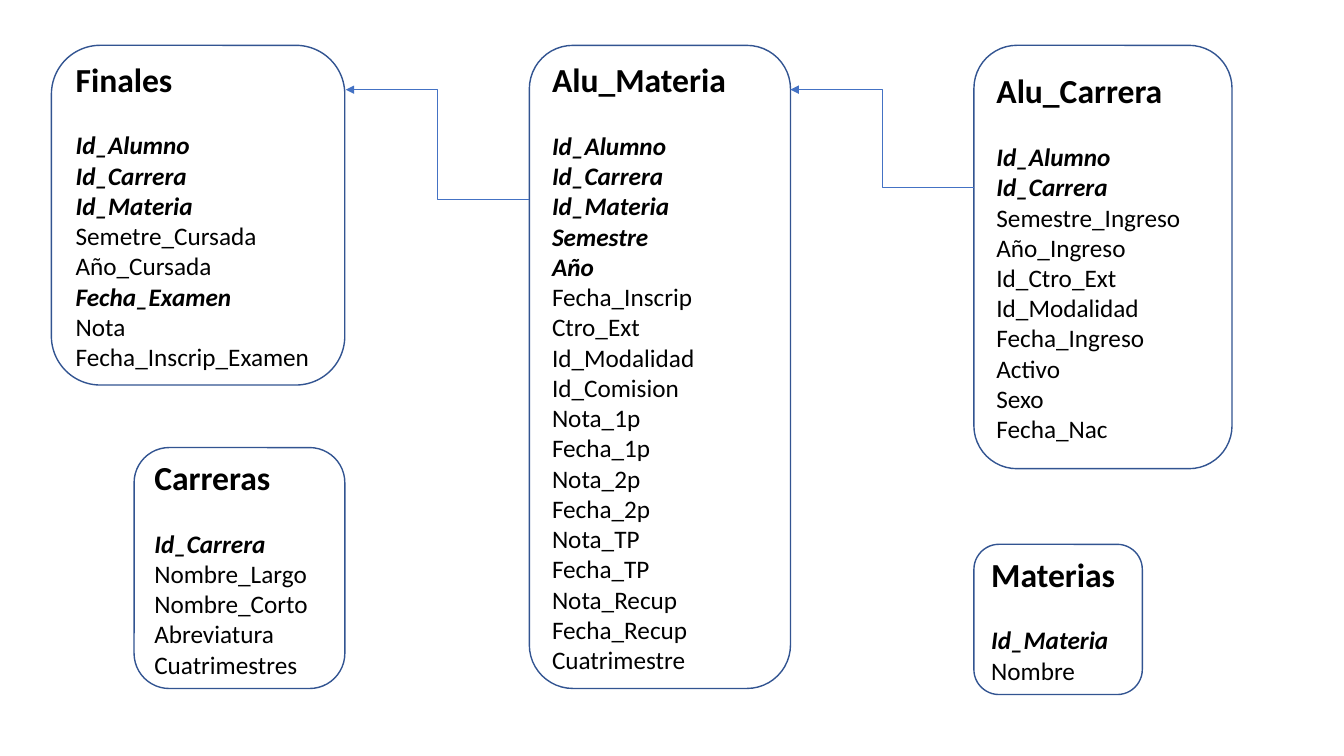
from lxml import etree
from pptx import Presentation
from pptx.dml.color import RGBColor
from pptx.enum.shapes import MSO_CONNECTOR, MSO_SHAPE
from pptx.enum.text import MSO_ANCHOR, PP_ALIGN
from pptx.oxml.ns import qn
from pptx.util import Pt

ROUNDED = MSO_SHAPE.FLOWCHART_ALTERNATE_PROCESS
ELBOW = MSO_CONNECTOR.ELBOW
MIDDLE = MSO_ANCHOR.MIDDLE
LEFT = PP_ALIGN.LEFT
BLANK_LAYOUT = 6
EMU_PER_PX = 9144


def px(length):
    return length * EMU_PER_PX


def colour(hex_string):
    return RGBColor.from_string(hex_string)


class Diagram:
    font = "Calibri"
    text = "000000"
    fill = "FFFFFF"
    border = "325491"
    link = "4472C4"
    title_size = 24
    field_size = 18
    title_gap = 22

    def __init__(self, page):
        self.page = page

    def line(self, para, wording, size, bold, italic):
        para.text = wording
        para.alignment = LEFT
        font = para.font
        font.name = self.font
        font.size = Pt(size)
        font.bold = bold
        font.italic = italic
        font.color.rgb = colour(self.text)

    def entity(self, title, bounds, fields, keys):
        box = self.page.shapes.add_shape(ROUNDED, *map(px, bounds))
        box.shadow.inherit = False
        box.fill.solid()
        box.fill.fore_color.rgb = colour(self.fill)
        box.line.color.rgb = colour(self.border)
        box.line.width = Pt(1)
        frame = box.text_frame
        frame.word_wrap = True
        frame.vertical_anchor = MIDDLE
        heading = frame.paragraphs[0]
        self.line(heading, title, self.title_size, True, False)
        heading.space_after = Pt(self.title_gap)
        for field in fields.split():
            is_key = field in keys.split()
            self.line(frame.add_paragraph(), field, self.field_size, is_key, is_key)

    def arrow(self, start, end):
        connector = self.page.shapes.add_connector(ELBOW, *map(px, start + end))
        connector.line.color.rgb = colour(self.link)
        connector.line.width = Pt(1)
        outline = connector.line._get_or_add_ln()
        etree.SubElement(outline, qn("a:tailEnd"), type="triangle")
        etree.SubElement(connector._element.spPr, qn("a:effectLst"))


ENTITIES = [
    ("Alu_Carrera", (966, 45, 256, 420),
     "Id_Alumno Id_Carrera Semestre_Ingreso Año_Ingreso Id_Ctro_Ext "
     "Id_Modalidad Fecha_Ingreso Activo Sexo Fecha_Nac",
     "Id_Alumno Id_Carrera"),
    ("Alu_Materia", (525, 45, 259, 638),
     "Id_Alumno Id_Carrera Id_Materia Semestre Año Fecha_Inscrip Ctro_Ext "
     "Id_Modalidad Id_Comision Nota_1p Fecha_1p Nota_2p Fecha_2p Nota_TP "
     "Fecha_TP Nota_Recup Fecha_Recup Cuatrimestre",
     "Id_Alumno Id_Carrera Id_Materia Semestre Año"),
    ("Finales", (51, 45, 291, 337),
     "Id_Alumno Id_Carrera Id_Materia Semetre_Cursada Año_Cursada "
     "Fecha_Examen Nota Fecha_Inscrip_Examen",
     "Id_Alumno Id_Carrera Id_Materia Fecha_Examen"),
    ("Carreras", (133, 444, 209, 239),
     "Id_Carrera Nombre_Largo Nombre_Corto Abreviatura Cuatrimestres",
     "Id_Carrera"),
    ("Materias", (966, 540, 167, 149), "Id_Materia Nombre", "Id_Materia"),
]

ARROWS = [((966, 186), (784, 89)), ((525, 198), (343, 89))]


def main():
    deck = Presentation()
    deck.slide_width = px(1333)
    deck.slide_height = px(750)
    diagram = Diagram(deck.slides.add_slide(deck.slide_layouts[BLANK_LAYOUT]))
    for entity in ENTITIES:
        diagram.entity(*entity)
    for start, end in ARROWS:
        diagram.arrow(start, end)
    deck.save("out.pptx")


if __name__ == "__main__":
    main()
